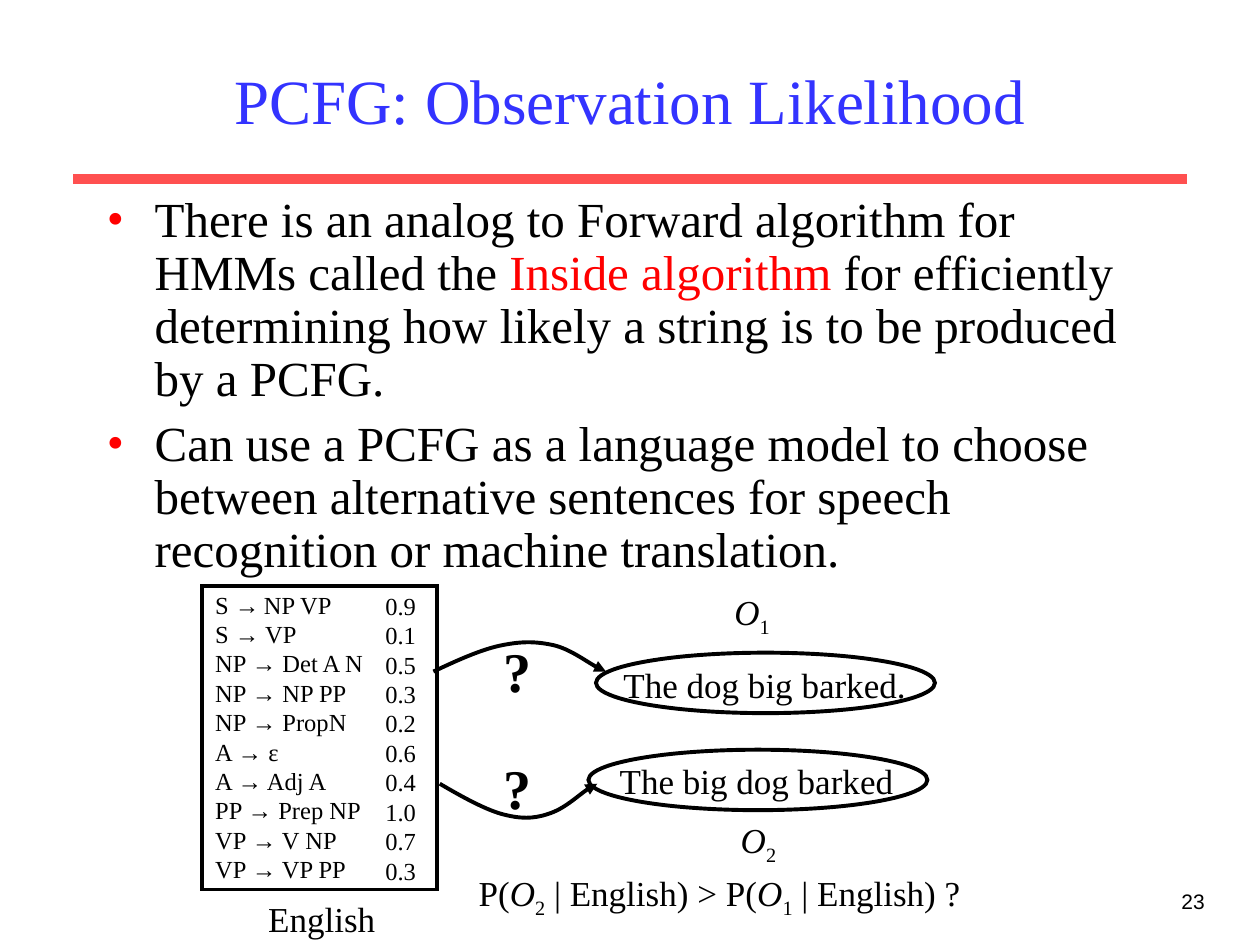
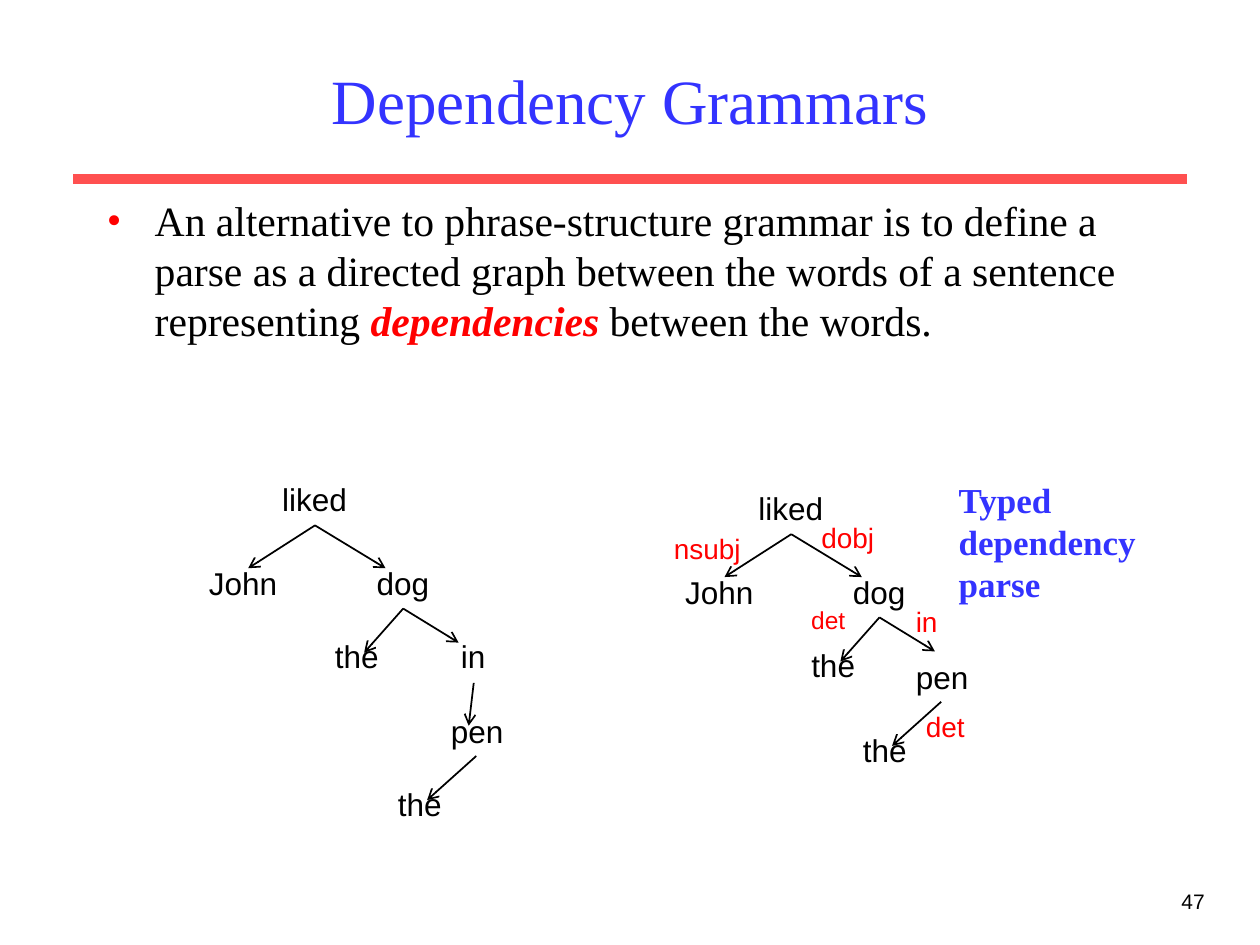
import dataclasses

import lxml.etree
import pptx
import pptx.dml.color
import pptx.enum.shapes
import pptx.enum.text
import pptx.oxml.ns
import pptx.util

RGB = pptx.dml.color.RGBColor
PT = pptx.util.Pt
QN = pptx.oxml.ns.qn
ALIGN = pptx.enum.text.PP_ALIGN
ANCHOR = pptx.enum.text.MSO_ANCHOR
FIT = pptx.enum.text.MSO_AUTO_SIZE
SHAPE = pptx.enum.shapes.MSO_SHAPE
STRAIGHT = pptx.enum.shapes.MSO_CONNECTOR.STRAIGHT
PX = 9144


@dataclasses.dataclass(frozen=True)
class Theme:
    """Colours, fonts and type sizes of the lecture."""

    ink: str = "000000"
    accent: str = "FF0000"
    heading: str = "3333FF"
    rule: str = "FF5050"
    serif: str = "Times New Roman"
    sans: str = "Arial"
    title: float = 36
    body: float = 28
    compact_body: float = 23.8
    question: float = 32
    caption: float = 20
    node: float = 18
    relation: float = 16
    small: float = 14
    page: float = 12
    thin_space: float = 10
    outline: float = 2.25
    edge: float = 1
    band: float = 6


class Lecture:
    """Holds the theme and the current slide and draws each kind of element."""

    def __init__(self, theme):
        self.theme = theme
        self.deck = pptx.Presentation()
        self.deck.slide_width = 1000 * PX
        self.deck.slide_height = 750 * PX
        self.slide = None

    def start(self, title, page):
        """Adds a slide with its title, red band and page number."""
        t = self.theme
        self.slide = self.deck.slides.add_slide(self.deck.slide_layouts[5])
        self.line((58, 142), (942, 142), t.rule, t.band)
        heading = self.slide.shapes.title
        box = {"left": 75, "top": 25, "width": 850, "height": 108}
        for key, value in box.items():
            setattr(heading, key, value * PX)
        self.fill_frame(heading.text_frame, [title],
                        {"size": t.title, "color": t.heading}, ALIGN.CENTER,
                        auto_size=FIT.NONE, vertical_anchor=ANCHOR.MIDDLE)
        self.text((758, 700, 208, 50), [str(page)],
                  {"size": t.page, "name": t.sans}, ALIGN.RIGHT, right_inset=10)

    def fill_frame(self, frame, paragraphs, style, align=ALIGN.LEFT, **settings):
        """Writes paragraphs, each a string or a list of (text, format) runs."""
        for key, value in settings.items():
            setattr(frame, key, value)
        for index, content in enumerate(paragraphs):
            paragraph = frame.paragraphs[0] if index == 0 else frame.add_paragraph()
            paragraph.alignment = align
            runs = [(content, {})] if isinstance(content, str) else content
            for words, changes in runs:
                self.add_run(paragraph, words, {**style, **changes})

    def add_run(self, paragraph, words, style):
        """Adds one run and applies its format values."""
        run = paragraph.add_run()
        run.text = words
        values = {"name": self.theme.serif, "color": self.theme.ink, **style}
        for key, value in values.items():
            if key == "color":
                run.font.color.rgb = RGB.from_string(value)
            elif key == "baseline":
                run._r.get_or_add_rPr().set("baseline", str(value * 1000))
            else:
                setattr(run.font, key, PT(value) if key == "size" else value)

    def text(self, box, paragraphs, style, align=ALIGN.LEFT, right_inset=0):
        """Adds a text box of fixed size."""
        frame = self.slide.shapes.add_textbox(*(v * PX for v in box)).text_frame
        self.fill_frame(frame, paragraphs, style, align, word_wrap=True,
                        auto_size=FIT.NONE, margin_right=right_inset * PX)
        return frame

    def bullets(self, box, paragraphs, size, spacing):
        """Adds body text with red bullets and a hanging indent."""
        t = self.theme
        frame = self.text(box, paragraphs, {"size": size}, right_inset=10)
        for index, paragraph in enumerate(frame.paragraphs):
            props = paragraph._p.get_or_add_pPr()
            for key, value in {"marL": 38, "indent": -38}.items():
                props.set(key, str(value * PX))
            colour = lxml.etree.SubElement(props, QN("a:buClr"))
            lxml.etree.SubElement(colour, QN("a:srgbClr"), val=t.accent)
            lxml.etree.SubElement(props, QN("a:buFont"), typeface=t.serif)
            lxml.etree.SubElement(props, QN("a:buChar"), char="•")
            paragraph.line_spacing = spacing
            if index:
                paragraph.space_before = PT(7)

    def stroke(self, line, colour, width, head=None):
        """Formats a line with sharp corners and an optional arrowhead."""
        line.color.rgb = RGB.from_string(colour)
        line.width = PT(width)
        props = line._get_or_add_ln()
        lxml.etree.SubElement(props, QN("a:miter"), lim="800000")
        if head:
            lxml.etree.SubElement(props, QN("a:tailEnd"), type=head)

    def line(self, start, end, colour, width, head=None):
        """Adds a straight line."""
        ends = (v * PX for v in (*start, *end))
        connector = self.slide.shapes.add_connector(STRAIGHT, *ends)
        self.stroke(connector.line, colour, width, head)
        lxml.etree.SubElement(connector._element.spPr, QN("a:effectLst"))

    def outline(self, shape, head=None):
        """Leaves a shape hollow with a black border."""
        shape.shadow.inherit = False
        shape.fill.background()
        self.stroke(shape.line, self.theme.ink, self.theme.outline, head)

    def border(self, kind, box):
        """Adds a hollow preset shape."""
        self.outline(self.slide.shapes.add_shape(kind, *(v * PX for v in box)))

    def curve(self, start, controls):
        """Adds an arrow of cubic curves, three control points to each."""
        builder = self.slide.shapes.build_freeform(*start, scale=PX)
        builder.add_line_segments(controls, close=False)
        shape = builder.convert_to_shape()
        outline_path = next(shape._element.iter(QN("a:path")))
        steps = outline_path.findall(QN("a:lnTo"))
        for first in range(0, len(steps), 3):
            bend = lxml.etree.SubElement(outline_path, QN("a:cubicBezTo"))
            for step in steps[first:first + 3]:
                bend.append(step[0])
                outline_path.remove(step)
        self.outline(shape, "triangle")

    def tree(self, origin, nodes, edges):
        """Adds words and arrows of a tree, shifted by origin."""
        dx, dy = origin
        t = self.theme
        for word, x, y, width in nodes:
            self.text((x + dx, y + dy, width, 40), [word],
                      {"size": t.node, "name": t.sans})
        for x1, y1, x2, y2 in edges:
            self.line((x1 + dx, y1 + dy), (x2 + dx, y2 + dy), t.ink, t.edge, "arrow")


def observation_likelihood(lecture):
    """Builds the slide on the likelihood of a sentence."""
    t = lecture.theme
    caption = {"size": t.caption}
    italic = {"italic": True}
    sub = {"baseline": -25}
    lecture.start("PCFG: Observation Likelihood", 23)
    lecture.bullets((75, 150, 850, 343), [
        [("There is an analog to Forward algorithm for HMMs called the ", {}),
         ("Inside algorithm", {"color": t.accent}),
         (" for efficiently determining how likely a string is to be produced "
          "by a PCFG.", {})],
        "Can use a PCFG as a language model to choose between alternative "
        "sentences for speech recognition or machine translation.",
    ], t.body, 0.9)

    grammar = [
        ([("S →", {}), (" ", {"size": t.thin_space}), ("NP VP", {})], "0.9"),
        ("S → VP", "0.1"), ("NP → Det A N", "0.5"), ("NP → NP PP", "0.3"),
        ("NP → PropN", "0.2"), ("A → ε", "0.6"), ("A → Adj A", "0.4"),
        ("PP → Prep NP", "1.0"), ("VP → V NP", "0.7"), ("VP → VP PP", "0.3"),
    ]
    rules, probabilities = zip(*grammar)
    lecture.text((161, 463, 140, 244), rules, {"size": t.small})
    lecture.text((296, 464, 44, 244), probabilities, {"size": t.small})
    lecture.border(SHAPE.RECTANGLE, (160, 465, 187, 241))
    lecture.text((203, 707, 105, 44), ["English"], caption)

    sentences = [
        ("The dog big barked.", (485, 522, 244, 44), (473, 518), "1", (573, 464)),
        ("The big dog barked", (482, 598, 237, 44), (467, 595), "2", (578, 645)),
    ]
    for sentence, box, oval, number, label in sentences:
        lecture.text(box, [sentence], caption)
        lecture.border(SHAPE.OVAL, (*oval, 269, 48))
        lecture.text((*label, 48, 48), [[("O", italic), (number, sub)]], caption)

    lecture.curve((344, 533), [(363, 524), (383, 515), (399, 512),
                               (414, 509), (425, 509), (439, 512),
                               (452, 515), (474, 531), (481, 533)])
    lecture.curve((349, 622), [(366, 632), (384, 642), (398, 646),
                               (413, 650), (423, 650), (435, 646),
                               (448, 642), (467, 624), (474, 622)])
    for top in (500, 593):
        lecture.text((390, top, 42, 64), ["?"], {"size": t.question, "bold": True})
    lecture.text((370, 687, 402, 48), [[
        ("P(", {}), ("O", italic), ("2", sub), (" | English) > P(", {}),
        ("O", italic), ("1", sub), (" | English) ?", {})]], caption)


def dependency_grammars(lecture):
    """Builds the slide with the plain and the typed dependency tree."""
    t = lecture.theme
    lecture.start("Dependency Grammars", 47)
    lecture.bullets((75, 150, 850, 150), [[
        ("An alternative to phrase-structure grammar is to define a parse as a "
         "directed graph between the words of a sentence representing ", {}),
        ("dependencies", {"color": t.accent, "bold": True, "italic": True}),
        (" between the words.", {})]], t.compact_body, 1.0)

    clause = (
        [("liked", 214, 376, 71), ("John", 156, 443, 74),
         ("dog", 289, 443, 61), ("the", 256, 501, 62)],
        [(250, 417, 197, 451), (250, 417, 306, 451),
         (320, 483, 289, 518), (320, 483, 364, 510)])
    pen_phrase = ([("pen", 348, 560, 61), ("the", 306, 618, 62)],
                  [(378, 600, 339, 635)])
    preposition = ([("in", 356, 501, 39)], [(376, 542, 372, 576)])

    lecture.tree((0, 0), *preposition)
    for clause_origin, pen_origin in [((0, 0), (0, 0)), ((378, 7), (369, -43))]:
        lecture.tree(clause_origin, *clause)
        lecture.tree(pen_origin, *pen_phrase)

    relations = [
        ("nsubj", (525, 417, 73, 37), t.relation),
        ("dobj", (642, 408, 62, 37), t.relation),
        ("det", (634, 475, 47, 34), t.small),
        ("in", (717, 475, 37, 37), t.relation),
        ("det", (725, 558, 51, 37), t.relation),
    ]
    for relation, box, size in relations:
        lecture.text(box, [relation],
                     {"size": size, "name": t.sans, "color": t.accent})
    lecture.text((751, 375, 161, 110), ["Typed", "dependency", "parse"],
                 {"size": t.caption, "color": t.heading, "bold": True})


def main():
    """Builds both slides and saves the deck."""
    lecture = Lecture(Theme())
    observation_likelihood(lecture)
    dependency_grammars(lecture)
    lecture.deck.save("out.pptx")


if __name__ == "__main__":
    main()
